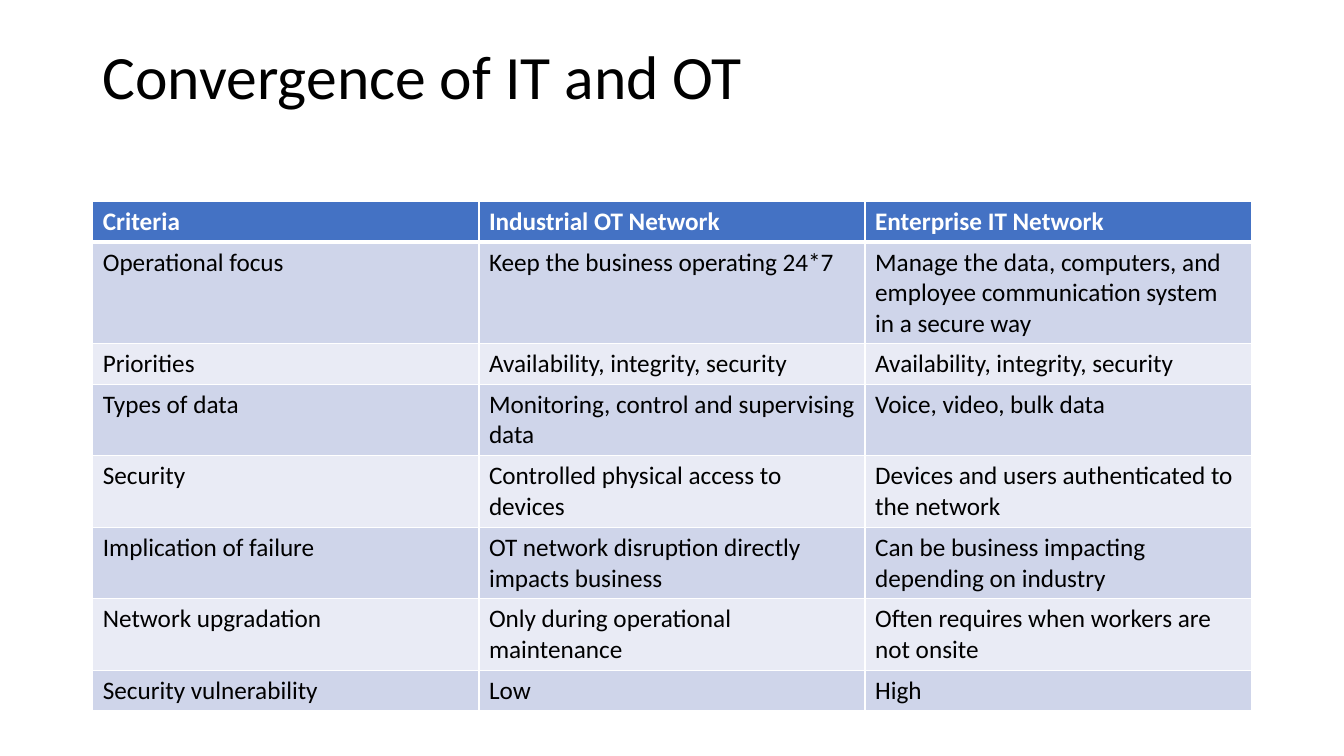
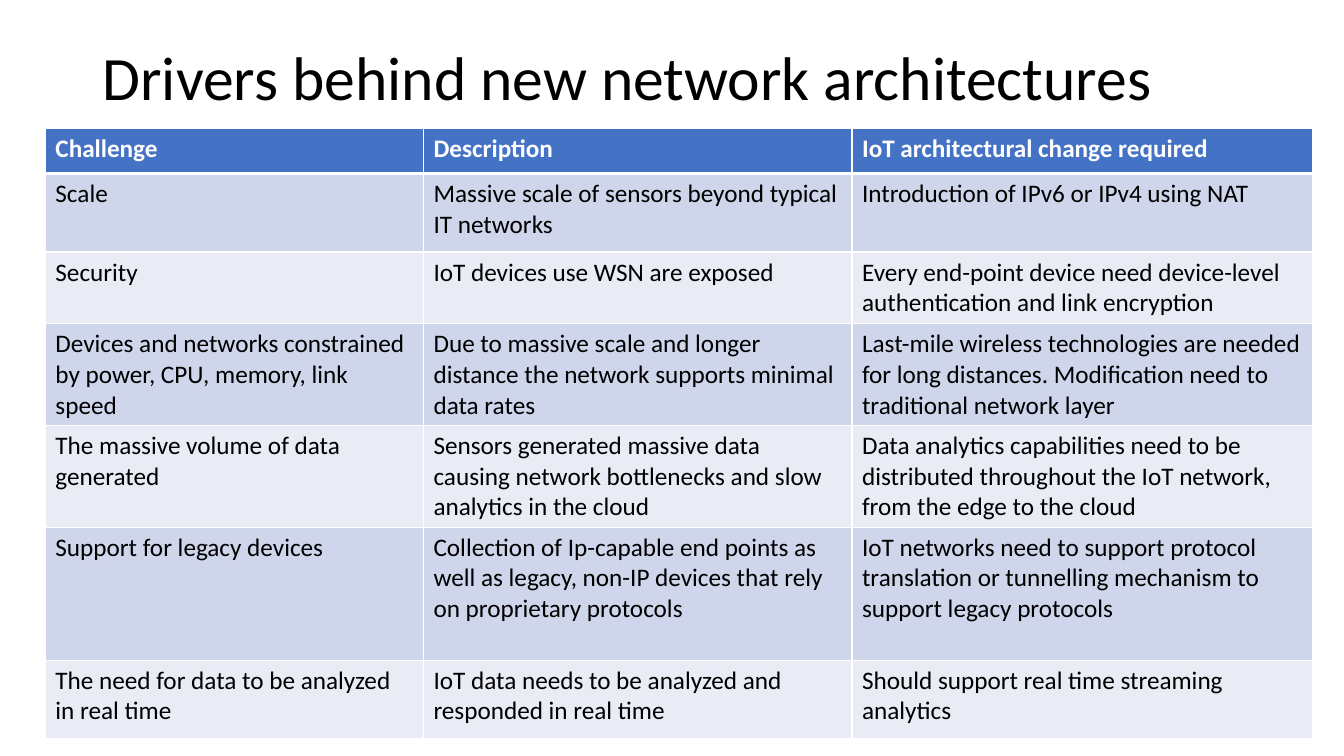
from lxml import etree
from pptx import Presentation
from pptx.dml.color import RGBColor
from pptx.enum.text import MSO_ANCHOR
from pptx.oxml.ns import qn
from pptx.util import Inches, Pt

FONT = "Calibri"
BLACK, WHITE = "000000", "FFFFFF"
HEADER_FILL = "4472C4"
BAND_FILLS = ["E9EBF5", "CFD5EA"]
TITLE_LEFT, TITLE_WIDTH = 0.92, 11.5

SLIDES = [
    {
        "title": "Convergence of IT and OT",
        "title_top": 0.21,
        "title_height": 1.16,
        "table_left": 0.92,
        "table_top": 2,
        "column_widths": [3.83, 3.83, 3.83],
        "row_heights": [0.4, 1.01, 0.4, 0.71, 0.71, 0.71, 0.71, 0.4],
        "rows": [
            ["Criteria", "Industrial OT Network", "Enterprise IT Network"],
            ["Operational focus", "Keep the business operating 24*7",
             "Manage the data, computers, and employee communication system in a secure way"],
            ["Priorities", "Availability, integrity, security", "Availability, integrity, security"],
            ["Types of data", "Monitoring, control and supervising data", "Voice, video, bulk data"],
            ["Security", "Controlled physical access to devices",
             "Devices and users authenticated to the network"],
            ["Implication of failure", "OT network disruption directly impacts business",
             "Can be business impacting depending on industry"],
            ["Network upgradation", "Only during operational maintenance",
             "Often requires when workers are not onsite"],
            ["Security vulnerability", "Low", "High"],
        ],
    },
    {
        "title": "Drivers behind new network architectures",
        "title_top": 0.4,
        "title_height": 0.79,
        "table_left": 0.45,
        "table_top": 1.27,
        "column_widths": [3.75, 4.25, 4.57],
        "row_heights": [0.45, 0.78, 0.71, 1.01, 1.01, 1.32, 0.78],
        "rows": [
            ["Challenge", "Description", "IoT architectural change required"],
            ["Scale", "Massive scale of sensors beyond typical IT networks",
             "Introduction of IPv6 or IPv4 using NAT"],
            ["Security", "IoT devices use WSN are exposed",
             "Every end-point device need device-level authentication and link encryption"],
            ["Devices and networks constrained by power, CPU, memory, link speed",
             "Due to massive scale and longer distance the network supports minimal data rates",
             "Last-mile wireless technologies are needed for long distances. "
             "Modification need to traditional network layer"],
            ["The massive volume of data generated",
             "Sensors generated massive data causing network bottlenecks and slow analytics in the cloud",
             "Data analytics capabilities need to be distributed throughout the IoT network, "
             "from the edge to the cloud"],
            ["Support for legacy devices",
             "Collection of Ip-capable end points as well as legacy, non-IP devices "
             "that rely on proprietary protocols",
             "IoT networks need to support protocol translation or tunnelling mechanism "
             "to support legacy protocols"],
            ["The need for data to be analyzed in real time",
             "IoT data needs to be analyzed and responded in real time",
             "Should support real time streaming analytics"],
        ],
    },
]


def set_font(paragraph, size, color, bold=False):
    font = paragraph.font
    font.name, font.size, font.bold = FONT, Pt(size), bold
    font.color.rgb = RGBColor.from_string(color)


def set_borders(cell, top, bottom):
    """Draw white cell borders, 1 pt at the sides; call before filling the cell."""
    properties = cell._tc.get_or_add_tcPr()
    for tag, width in [("a:lnL", 1), ("a:lnR", 1), ("a:lnT", top), ("a:lnB", bottom)]:
        line = etree.SubElement(properties, qn(tag), w=str(Pt(width)))
        fill = etree.SubElement(line, qn("a:solidFill"))
        etree.SubElement(fill, qn("a:srgbClr"), val=WHITE)


presentation = Presentation()
presentation.slide_width = Inches(13.33)
presentation.slide_height = Inches(7.5)
blank_layout = presentation.slide_layouts[6]

for content in SLIDES:
    slide = presentation.slides.add_slide(blank_layout)

    title = slide.shapes.add_textbox(
        Inches(TITLE_LEFT), Inches(content["title_top"]),
        Inches(TITLE_WIDTH), Inches(content["title_height"]))
    title.text_frame.word_wrap = True
    title.text_frame.vertical_anchor = MSO_ANCHOR.MIDDLE
    paragraph = title.text_frame.paragraphs[0]
    paragraph.text = content["title"]
    paragraph.line_spacing = 0.9
    set_font(paragraph, 44, BLACK)

    rows, widths, heights = content["rows"], content["column_widths"], content["row_heights"]
    table = slide.shapes.add_table(
        len(rows), len(widths),
        Inches(content["table_left"]), Inches(content["table_top"]),
        Inches(sum(widths)), Inches(sum(heights))).table
    for column, width in zip(table.columns, widths):
        column.width = Inches(width)
    for row, height in zip(table.rows, heights):
        row.height = Inches(height)

    for row_index, texts in enumerate(rows):
        is_header = row_index == 0
        fill_color = HEADER_FILL if is_header else BAND_FILLS[row_index % 2]
        for column_index, text in enumerate(texts):
            cell = table.cell(row_index, column_index)
            set_borders(cell, top=3 if row_index == 1 else 1, bottom=3 if is_header else 1)
            cell.fill.solid()
            cell.fill.fore_color.rgb = RGBColor.from_string(fill_color)
            cell.text = text
            set_font(cell.text_frame.paragraphs[0], 18, WHITE if is_header else BLACK, is_header)

presentation.save("out.pptx")
